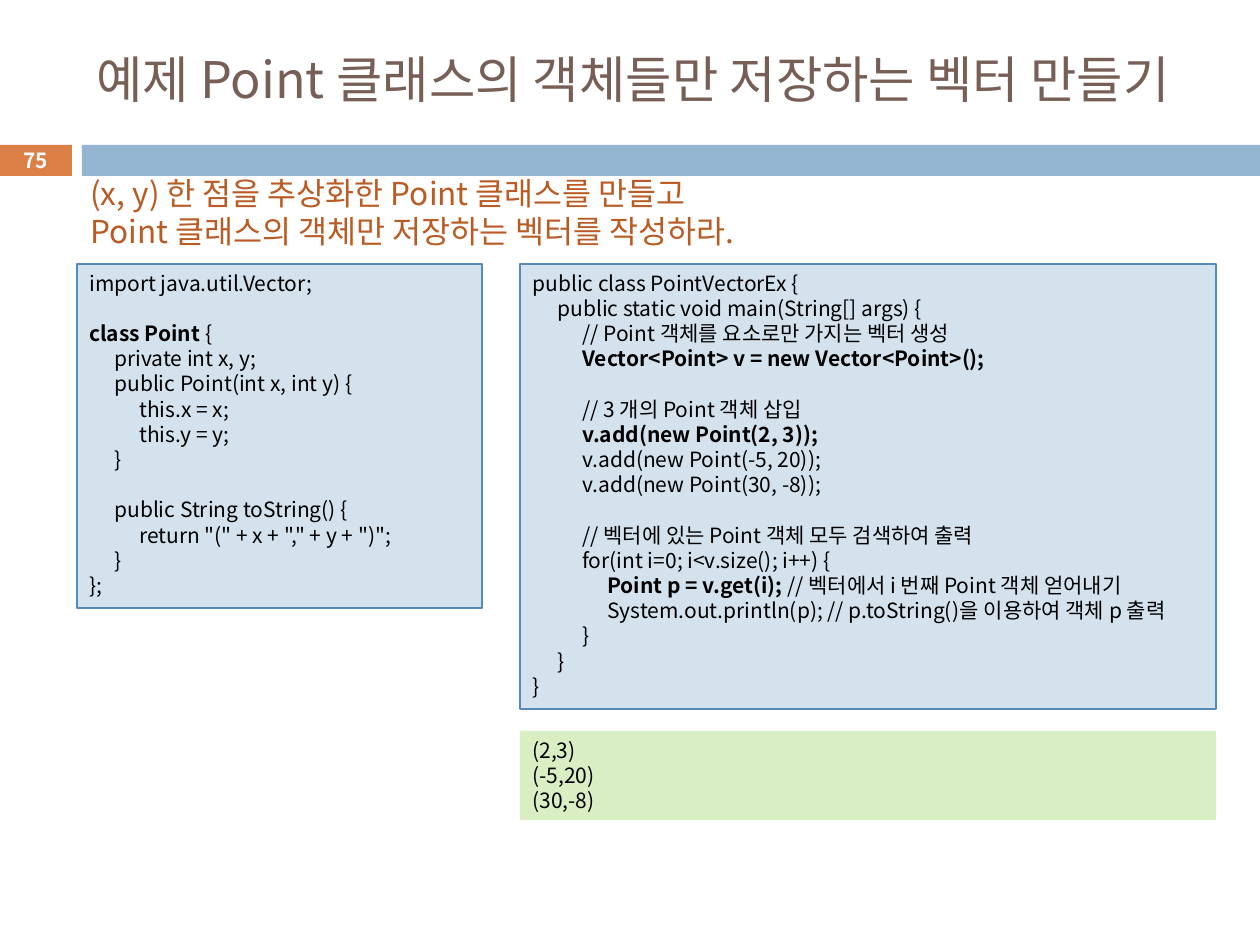
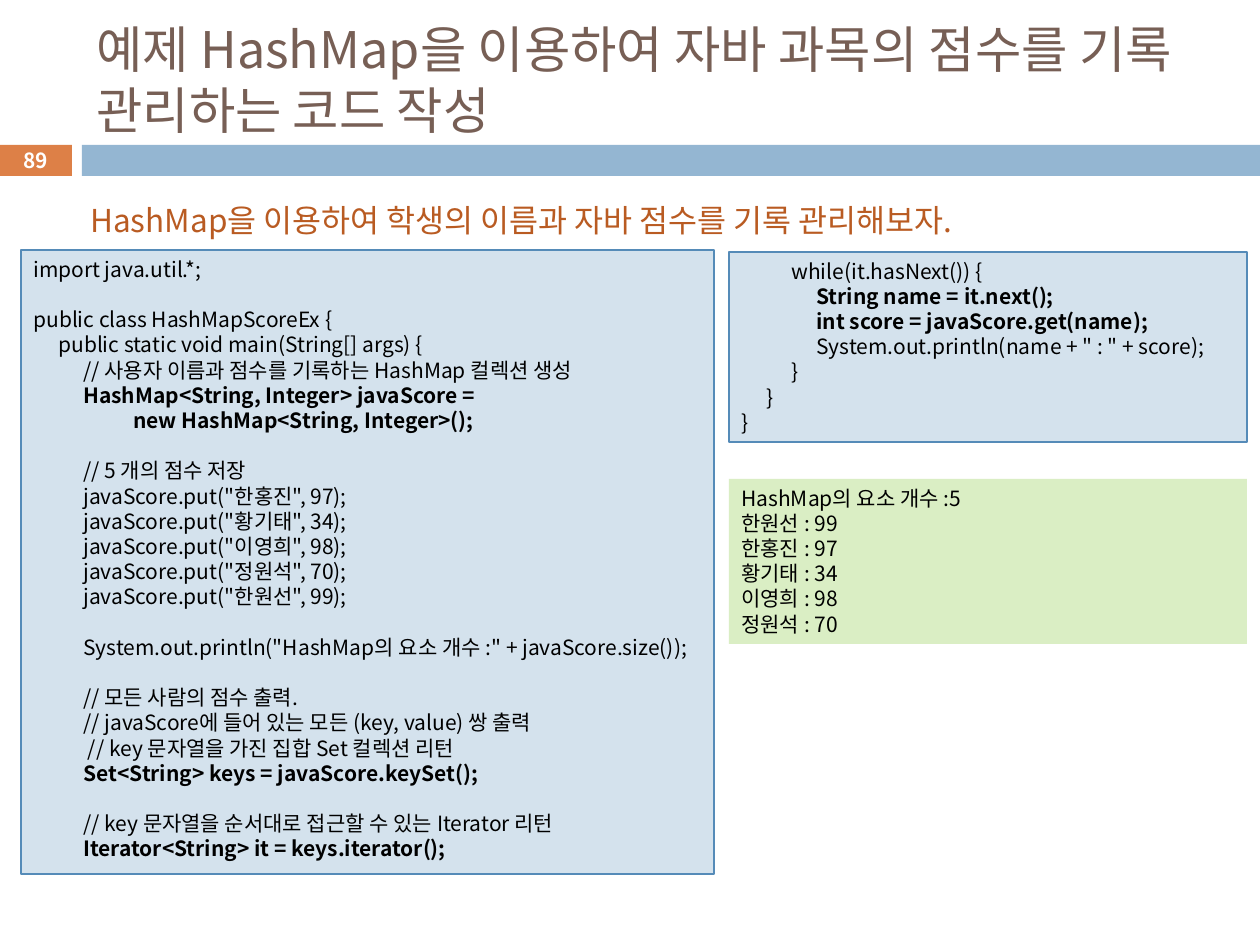
from dataclasses import dataclass

from lxml import etree
from pptx import Presentation
from pptx import util as u
from pptx.dml.color import RGBColor
from pptx.enum import shapes, text
from pptx.oxml.ns import qn

EMU_PER_PX = 914400 / 126
TAB_PX = 25
TAB_STOPS = 4


@dataclass(frozen=True)
class Theme:
    font: str = "Noto Sans CJK KR"
    title: str = "775F55"
    task: str = "B95B22"
    ink: str = "000000"
    white: str = "FFFFFF"
    badge: str = "DD8047"
    band: str = "94B6D2"
    code_fill: str = "D4E2ED"
    code_line: str = "558BB8"
    output_fill: str = "DAEEC4"
    title_size: float = 28.8
    task_size: float = 18
    code_size: float = 12
    number_size: float = 11.9
    line_height: float = 1.2


THEME = Theme()

POINT_CLASS = """import java.util.Vector;

**class Point **{
    private int x, y;
    public Point(int x, int y) {
        this.x = x;
        this.y = y;
    }

    public String toString() {
        return "(" + x + "," + y + ")";
    }
};"""

POINT_MAIN = """public class PointVectorEx {
    public static void main(String[] args) {
        // Point 객체를 요소로만 가지는 벡터 생성
        **Vector<Point> v = new Vector<Point>();**

        // 3 개의 Point 객체 삽입
        **v.add(new Point(2, 3));**
        v.add(new Point(-5, 20));
        v.add(new Point(30, -8));

        // 벡터에 있는 Point 객체 모두 검색하여 출력
        for(int i=0; i<v.size(); i++) {
            **Point p = v.get(i);** // 벡터에서 i 번째 Point 객체 얻어내기
            System.out.println(p); // p.toString()을 이용하여 객체 p 출력
        }
    }
}"""

POINT_OUTPUT = """(2,3)
(-5,20)
(30,-8)"""

SCORE_MAIN = """import java.util.*;

public class HashMapScoreEx {
    public static void main(String[] args) {
        // 사용자 이름과 점수를 기록하는 HashMap 컬렉션 생성
        **HashMap<String, Integer> javaScore =**
                **new HashMap<String, Integer>();**

        // 5 개의 점수 저장
        javaScore.put("한홍진", 97);
        javaScore.put("황기태", 34);
        javaScore.put("이영희", 98);
        javaScore.put("정원석", 70);
        javaScore.put("한원선", 99);

        System.out.println("HashMap의 요소 개수 :" + javaScore.size());

        // 모든 사람의 점수 출력.
        // javaScore에 들어 있는 모든 (key, value) 쌍 출력
         // key 문자열을 가진 집합 Set 컬렉션 리턴
        **Set<String> keys = javaScore.keySet();**

        // key 문자열을 순서대로 접근할 수 있는 Iterator 리턴
        **Iterator<String> it = keys.iterator();**"""

SCORE_LOOP = """        while(it.hasNext()) {
            **String name = it.next();**
            **int score = javaScore.get(name);**
            System.out.println(name + " : " + score);
        }
    }
}"""

SCORE_OUTPUT = """HashMap의 요소 개수 :5
한원선 : 99
한홍진 : 97
황기태 : 34
이영희 : 98
정원석 : 70"""


def px(length):
    return u.Emu(round(length * EMU_PER_PX))


def emus(box):
    return [px(length) for length in box]


def add_tab_stops(paragraph):
    tabs = etree.SubElement(paragraph._p.get_or_add_pPr(), qn("a:tabLst"))
    for stop in range(1, TAB_STOPS + 1):
        etree.SubElement(tabs, qn("a:tab"), pos=str(px(stop * TAB_PX)), algn="l")


def write(frame, lines, size, color, bold=False, align=text.PP_ALIGN.LEFT,
          anchor=text.MSO_ANCHOR.TOP, wrap=True):
    """Fill a frame line by line; ** toggles bold and four spaces make a tab."""
    frame.word_wrap = wrap
    frame.vertical_anchor = anchor
    for index, line in enumerate(lines.split("\n")):
        paragraph = frame.add_paragraph() if index else frame.paragraphs[0]
        paragraph.alignment = align
        paragraph.line_spacing = u.Pt(round(size * THEME.line_height, 1))
        if line.startswith("    "):
            add_tab_stops(paragraph)
        for part, words in enumerate(line.replace(" " * 4, "\t").split("**")):
            if not words:
                continue
            run = paragraph.add_run()
            run.text = words
            run.font.name = THEME.font
            run.font.size = u.Pt(size)
            run.font.bold = bold or part % 2 == 1
            run.font.color.rgb = RGBColor.from_string(color)
            for script in ("a:ea", "a:cs"):
                etree.SubElement(run.font._element, qn(script), typeface=THEME.font)
        if not line:
            etree.SubElement(paragraph._p, qn("a:endParaRPr"), sz=str(size * 100))


def add_text(slide, box, lines, size, color, **style):
    write(slide.shapes.add_textbox(*emus(box)).text_frame, lines, size, color, **style)


def add_panel(slide, box, fill, line=None):
    panel = slide.shapes.add_shape(shapes.MSO_SHAPE.RECTANGLE, *emus(box))
    panel.shadow.inherit = False
    panel.fill.solid()
    panel.fill.fore_color.rgb = RGBColor.from_string(fill)
    if line:
        panel.line.color.rgb = RGBColor.from_string(line)
        panel.line.width = u.Pt(0.75)
    else:
        panel.line.fill.background()
    return panel


def add_code(slide, box, code):
    panel = add_panel(slide, box, THEME.code_fill, THEME.code_line)
    write(panel.text_frame, code, THEME.code_size, THEME.ink)


def add_output(slide, box, output):
    panel = add_panel(slide, box, THEME.output_fill)
    write(panel.text_frame, output, THEME.code_size, THEME.ink)


def add_header(slide, title, number):
    middle = text.MSO_ANCHOR.MIDDLE
    add_panel(slide, (-1, 145, 73, 31), THEME.badge)
    add_panel(slide, (82, 145, 1178, 31), THEME.band)
    add_text(slide, (84, 32, 1124, 93), title, THEME.title_size, THEME.title,
             anchor=middle)
    add_text(slide, (-1, 143, 73, 34), number, THEME.number_size, THEME.white,
             bold=True, align=text.PP_ALIGN.CENTER, anchor=middle)


def add_example(deck, title, number, task, task_box, codes, output, output_box):
    slide = deck.slides.add_slide(deck.slide_layouts[6])
    add_header(slide, title, number)
    for box, code in codes:
        add_code(slide, box, code)
    add_output(slide, output_box, output)
    add_text(slide, task_box, task, THEME.task_size, THEME.task, wrap=False)


def main():
    deck = Presentation()
    deck.slide_width, deck.slide_height = px(1260), px(945)
    add_example(
        deck, "예제 Point 클래스의 객체들만 저장하는 벡터 만들기", "75",
        "(x, y) 한 점을 추상화한 Point 클래스를 만들고\n"
        "Point 클래스의 객체만 저장하는 벡터를 작성하라.", (78, 168, 725, 89),
        [((77, 264, 405, 344), POINT_CLASS), ((520, 264, 696, 445), POINT_MAIN)],
        POINT_OUTPUT, (520, 731, 696, 89))
    add_example(
        deck, "예제 HashMap을 이용하여 자바 과목의 점수를 기록 관리하는 코드 작성", "89",
        "HashMap을 이용하여 학생의 이름과 자바 점수를 기록 관리해보자.",
        (78, 195, 1097, 50),
        [((21, 250, 693, 624), SCORE_MAIN), ((729, 252, 518, 190), SCORE_LOOP)],
        SCORE_OUTPUT, (729, 479, 518, 165))
    deck.save("out.pptx")


if __name__ == "__main__":
    main()
